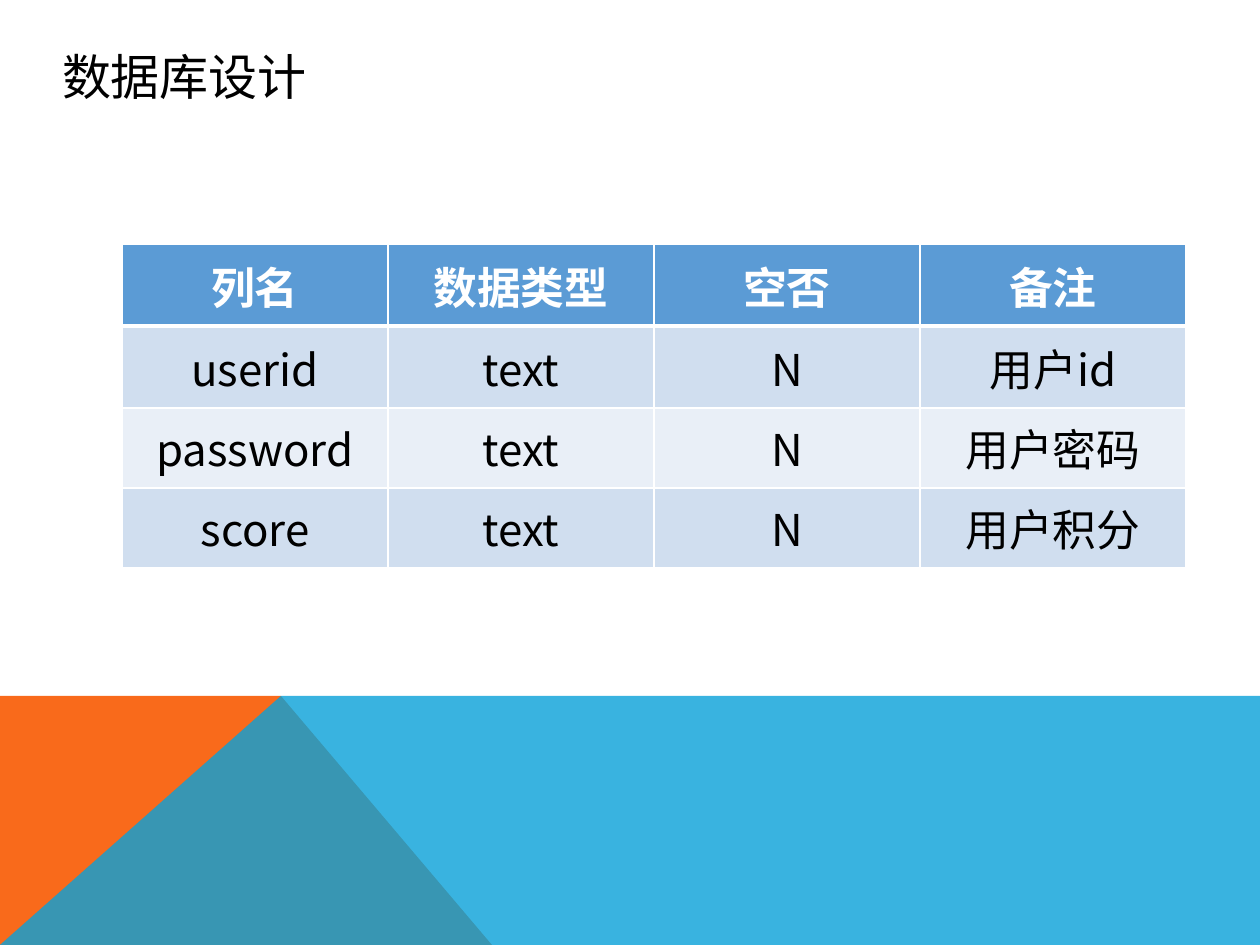
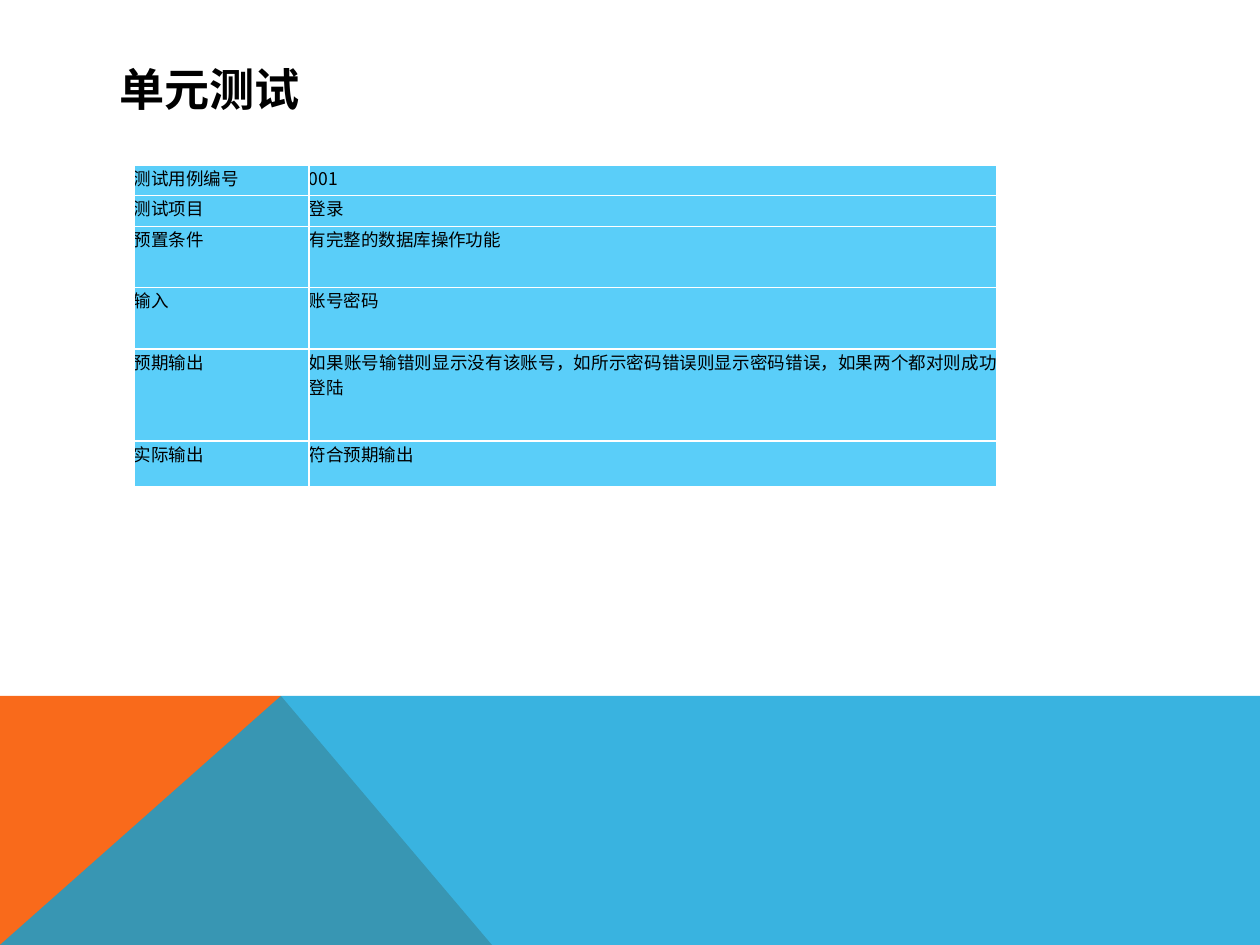
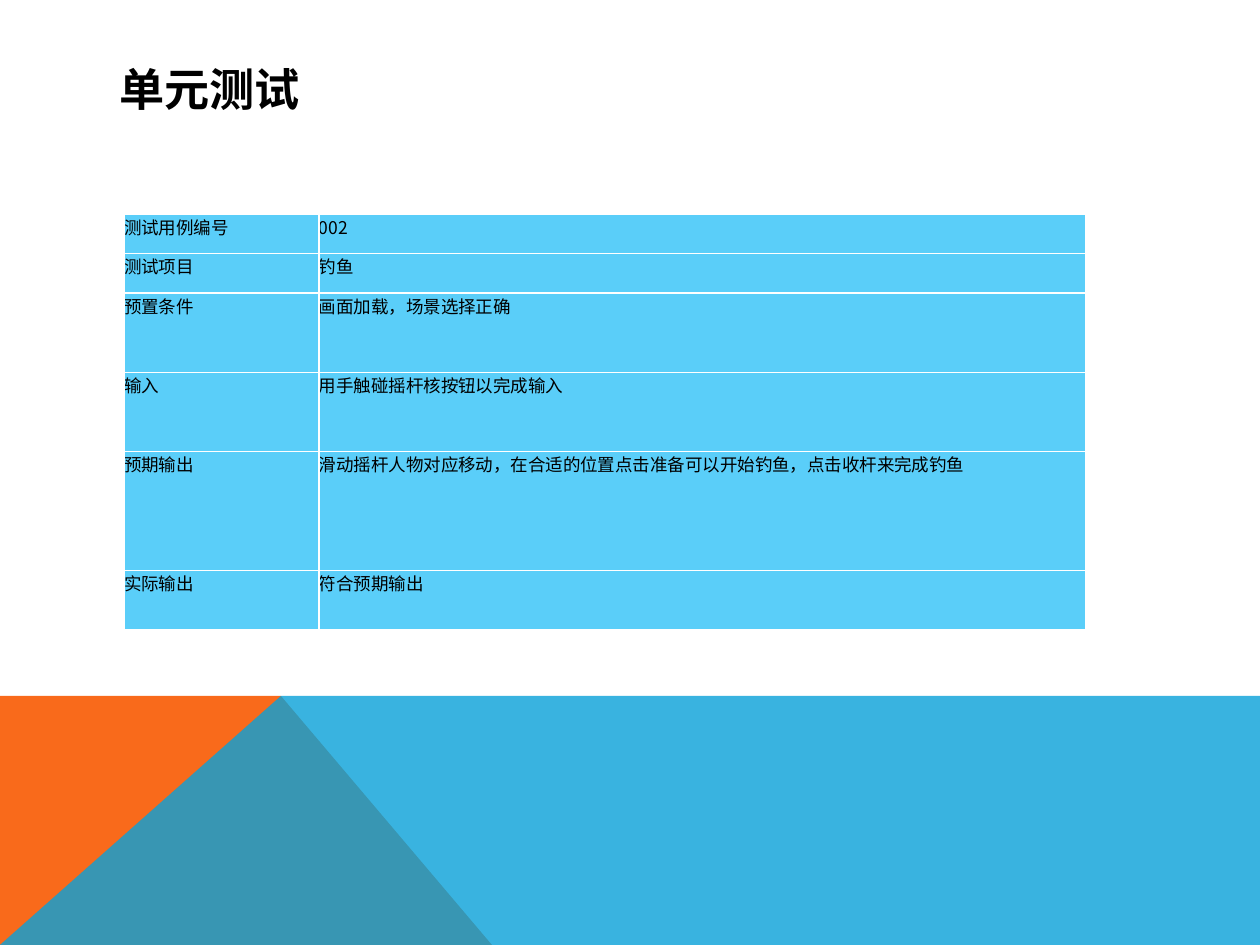
from lxml import etree
from pptx import Presentation
from pptx.dml.color import RGBColor
from pptx.enum.text import MSO_ANCHOR, MSO_AUTO_SIZE, PP_ALIGN
from pptx.oxml.ns import qn
from pptx.util import Emu, Pt

LEFT, CENTER, JUSTIFY = PP_ALIGN.LEFT, PP_ALIGN.CENTER, PP_ALIGN.JUSTIFY
TOP, MIDDLE = MSO_ANCHOR.TOP, MSO_ANCHOR.MIDDLE
NO_AUTOFIT = MSO_AUTO_SIZE.NONE

# Scale and shared style
EMU_PER_PX = 914400 / 126
SLIDE_WIDTH, SLIDE_HEIGHT = 1260, 945
BAND_TOP, BAND_PEAK, BAND_FOOT = 696, 281, 492
TITLE_ONLY = 5
CJK_FONT = "Noto Sans CJK SC"
BLACK, WHITE = "000000", "FFFFFF"
ORANGE, BLUE = "F96A1B", "08A1D9"
HEADER_BLUE, ROW_DARK, ROW_LIGHT, TEST_BLUE = "5B9BD5", "D0DEEF", "E9EFF7", "5ACEF9"


def px(length):
    return Emu(round(length * EMU_PER_PX))


def rgb(color):
    return RGBColor.from_string(color)


def set_all(target, values):
    for name, value in values.items():
        setattr(target, name, value)


class Deck:
    """Holds the style and the current slide."""

    column_text = {"name": CJK_FONT, "size": Pt(25), "bold": False}
    header_text = column_text | {"bold": True}
    test_text = {"name": CJK_FONT, "size": Pt(10), "bold": False}
    plain_title = {"name": CJK_FONT, "size": Pt(28), "bold": False}
    bold_title = {"name": "Roboto", "size": Pt(25.8), "bold": True}

    def __init__(self):
        self.presentation = Presentation()
        set_all(self.presentation, {"slide_width": px(SLIDE_WIDTH), "slide_height": px(SLIDE_HEIGHT)})
        self.slide = None

    def new_slide(self):
        layout = self.presentation.slide_layouts[TITLE_ONLY]
        self.slide = self.presentation.slides.add_slide(layout)
        self.polygon([(0, SLIDE_HEIGHT), (0, BAND_TOP), (BAND_PEAK, BAND_TOP),
                      (BAND_FOOT, SLIDE_HEIGHT)], ORANGE)
        self.polygon([(0, SLIDE_HEIGHT), (BAND_PEAK, BAND_TOP), (SLIDE_WIDTH, BAND_TOP),
                      (SLIDE_WIDTH, SLIDE_HEIGHT)], BLUE, opacity=80)

    def polygon(self, points, color, opacity=100):
        corners = [(px(x), px(y)) for x, y in points]
        builder = self.slide.shapes.build_freeform(*corners[0])
        builder.add_line_segments(corners[1:], close=True)
        shape = builder.convert_to_shape()
        shape.shadow.inherit = False
        shape.line.fill.background()
        shape.fill.solid()
        shape.fill.fore_color.rgb = rgb(color)
        if opacity < 100:
            color_element = shape.fill._xPr.find(qn("a:solidFill"))[0]
            etree.SubElement(color_element, qn("a:alpha"), val=str(opacity * 1000))

    def add_text(self, paragraph, text, style, color, alignment):
        run = paragraph.add_run()
        run.text = text
        set_all(run.font, style)
        run.font.color.rgb = rgb(color)
        etree.SubElement(run._r.get_or_add_rPr(), qn("a:ea"), typeface=CJK_FONT)
        paragraph.alignment = alignment

    def title(self, text, box, style, indent=0, wrap=True):
        shape = self.slide.shapes.title
        set_all(shape, dict(zip(("left", "top", "width", "height"), map(px, box))))
        frame = shape.text_frame
        set_all(frame, {"auto_size": NO_AUTOFIT, "word_wrap": wrap, "vertical_anchor": MIDDLE})
        set_all(frame, {f"margin_{side}": px(6) for side in ("left", "top", "right", "bottom")})
        paragraph = frame.paragraphs[0]
        self.add_text(paragraph, text, style, BLACK, LEFT)
        paragraph._p.get_or_add_pPr().set("indent", str(px(indent)))

    def table(self, left, top, columns, heights):
        shape = self.slide.shapes.add_table(len(heights), len(columns), px(left), px(top),
                                            px(sum(columns)), px(sum(heights)))
        table = shape.table
        set_all(table, {"first_row": False, "horz_banding": False})
        for column, width in zip(table.columns, columns):
            column.width = px(width)
        for row, height in zip(table.rows, heights):
            row.height = px(height)
        return table

    def cell(self, cell, text, fill, style, color=BLACK, alignment=JUSTIFY, anchor=TOP,
             top_line=1, bottom_line=1):
        set_all(cell, {f"margin_{side}": 0 for side in ("left", "top", "right", "bottom")})
        cell.vertical_anchor = anchor
        properties = cell._tc.get_or_add_tcPr()
        for side, width in {"L": 1, "R": 1, "T": top_line, "B": bottom_line}.items():
            line = etree.SubElement(properties, qn(f"a:ln{side}"), w=str(Pt(width)))
            solid = etree.SubElement(line, qn("a:solidFill"))
            etree.SubElement(solid, qn("a:srgbClr"), val=WHITE)
        cell.fill.solid()
        cell.fill.fore_color.rgb = rgb(fill)
        self.add_text(cell.text_frame.paragraphs[0], text, style, color, alignment)

    def column_table(self, left, top, columns, heights, rows):
        table = self.table(left, top, columns, heights)
        centered = {"alignment": CENTER, "anchor": MIDDLE}
        for i, row in enumerate(rows):
            if i == 0:
                look = {"fill": HEADER_BLUE, "style": self.header_text, "color": WHITE,
                        "bottom_line": 3}
            else:
                look = {"fill": ROW_DARK if i % 2 else ROW_LIGHT, "style": self.column_text,
                        "top_line": 3 if i == 1 else 1}
            for j, text in enumerate(row):
                self.cell(table.cell(i, j), text, **look, **centered)

    def test_table(self, left, top, columns, height, values):
        labels = ["测试用例编号", "测试项目", "预置条件", "输入", "预期输出", "实际输出"]
        shares = [1, 1, 2, 2, 3, 1.5]
        heights = [height * share / sum(shares) for share in shares]
        table = self.table(left, top, columns, heights)
        for i, row in enumerate(zip(labels, values)):
            for j, text in enumerate(row):
                self.cell(table.cell(i, j), text, TEST_BLUE, self.test_text)

    def test_slide(self, **case):
        self.new_slide()
        self.title("单元测试", (113, 50, 1037, 76), self.bold_title)
        self.test_table(**case)


def main():
    deck = Deck()

    # Database design
    deck.new_slide()
    deck.title("数据库设计", (38, 34, 278, 83), deck.plain_title, indent=18, wrap=False)
    deck.column_table(122, 244, [266] * 4, [82, 82, 80, 80], [
        ("列名", "数据类型", "空否", "备注"),
        ("userid", "text", "N", "用户id"),
        ("password", "text", "N", "用户密码"),
        ("score", "text", "N", "用户积分"),
    ])

    # Unit test of the login
    deck.test_slide(left=134, top=165, columns=[175, 688], height=322, values=[
        "001", "登录", "有完整的数据库操作功能", "账号密码",
        "如果账号输错则显示没有该账号，如所示密码错误则显示密码错误，如果两个都对则成功登陆",
        "符合预期输出",
    ])

    # Unit test of the fishing
    deck.test_slide(left=124, top=214, columns=[195, 767], height=416, values=[
        "002", "钓鱼", "画面加载，场景选择正确", "用手触碰摇杆核按钮以完成输入",
        "滑动摇杆人物对应移动，在合适的位置点击准备可以开始钓鱼，点击收杆来完成钓鱼",
        "符合预期输出",
    ])

    deck.presentation.save("out.pptx")


if __name__ == "__main__":
    main()
